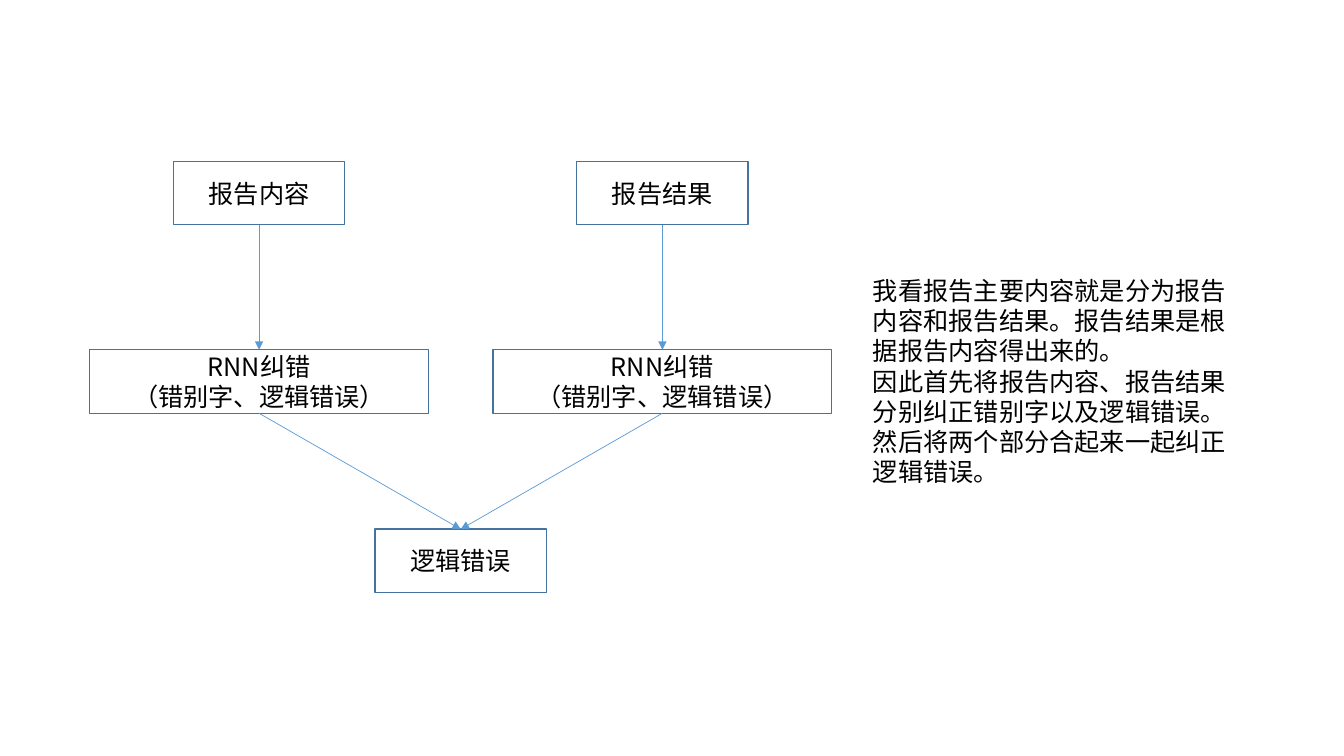
from pptx import Presentation
from pptx.dml.color import RGBColor
from pptx.enum.shapes import MSO_CONNECTOR as Connector, MSO_SHAPE as Shape
from pptx.enum.text import MSO_ANCHOR as Anchor, MSO_AUTO_SIZE as AutoSize, PP_ALIGN as Align
from pptx.oxml.ns import qn
from pptx.util import Inches, Pt
from lxml.etree import SubElement

FONT = "Noto Sans CJK SC"
BOX_HEIGHT = 0.63
NARROW, WIDE = 1.7, 3.36
LEFT, RIGHT = 2.57, 6.57
MIDDLE = (LEFT + RIGHT) / 2

# Content: name -> (centre x, top, width, lines)
CORRECTION = ["RNN纠错", "（错别字、逻辑错误）"]
BOXES = {
    "content": (LEFT, 1.6, NARROW, ["报告内容"]),
    "result": (RIGHT, 1.6, NARROW, ["报告结果"]),
    "content check": (LEFT, 3.47, WIDE, CORRECTION),
    "result check": (RIGHT, 3.47, WIDE, CORRECTION),
    "logic": (MIDDLE, 5.25, NARROW, ["逻辑错误"]),
}
ARROWS = [
    ("content", "content check"),
    ("result", "result check"),
    ("content check", "logic"),
    ("result check", "logic"),
]
NOTES = [
    "我看报告主要内容就是分为报告内容和报告结果。报告结果是根据报告内容得出来的。",
    "因此首先将报告内容、报告结果分别纠正错别字以及逻辑错误。"
    "然后将两个部分合起来一起纠正逻辑错误。",
]


def color(value):
    return RGBColor.from_string(value)


def write(frame, lines, align):
    frame.word_wrap = True
    frame.text = "\n".join(lines)
    for para in frame.paragraphs:
        para.alignment = align
        para.line_spacing = Pt(21.6)
        para.font.size = Pt(18)
        para.font.name = FONT
        para.font.color.rgb = color("000000")
        for span in para.runs:
            # East Asian characters take their own typeface setting
            SubElement(span.font._element, qn("a:ea"), typeface=FONT)


deck = Presentation()
deck.slide_width, deck.slide_height = Inches(13.33), Inches(7.5)
page = deck.slides.add_slide(deck.slide_layouts[6])

# Flow boxes
nodes = {}
for name, (center, top, width, lines) in BOXES.items():
    box = page.shapes.add_shape(Shape.RECTANGLE, Inches(center - width / 2), Inches(top),
                                Inches(width), Inches(BOX_HEIGHT))
    box.shadow.inherit = False
    box.fill.background()
    box.line.color.rgb = color("43739E")
    box.line.width = Pt(1)
    box.text_frame.vertical_anchor = Anchor.MIDDLE
    write(box.text_frame, lines, Align.CENTER)
    nodes[name] = box

# Arrows from bottom centre to top centre
for start, end in ARROWS:
    arrow = page.shapes.add_connector(Connector.STRAIGHT, 0, 0, 0, 0)
    arrow.begin_connect(nodes[start], 2)
    arrow.end_connect(nodes[end], 0)
    arrow.line.color.rgb = color("5B9BD5")
    arrow.line.width = Pt(0.5)
    SubElement(arrow.line._get_or_add_ln(), qn("a:tailEnd"), type="triangle")
    SubElement(arrow._element.spPr, qn("a:effectLst"))

# Explanation
notes = page.shapes.add_textbox(Inches(8.56), Inches(2.68), Inches(3.75), Inches(2.22))
write(notes.text_frame, NOTES, Align.LEFT)
notes.text_frame.auto_size = AutoSize.SHAPE_TO_FIT_TEXT

deck.save("out.pptx")
